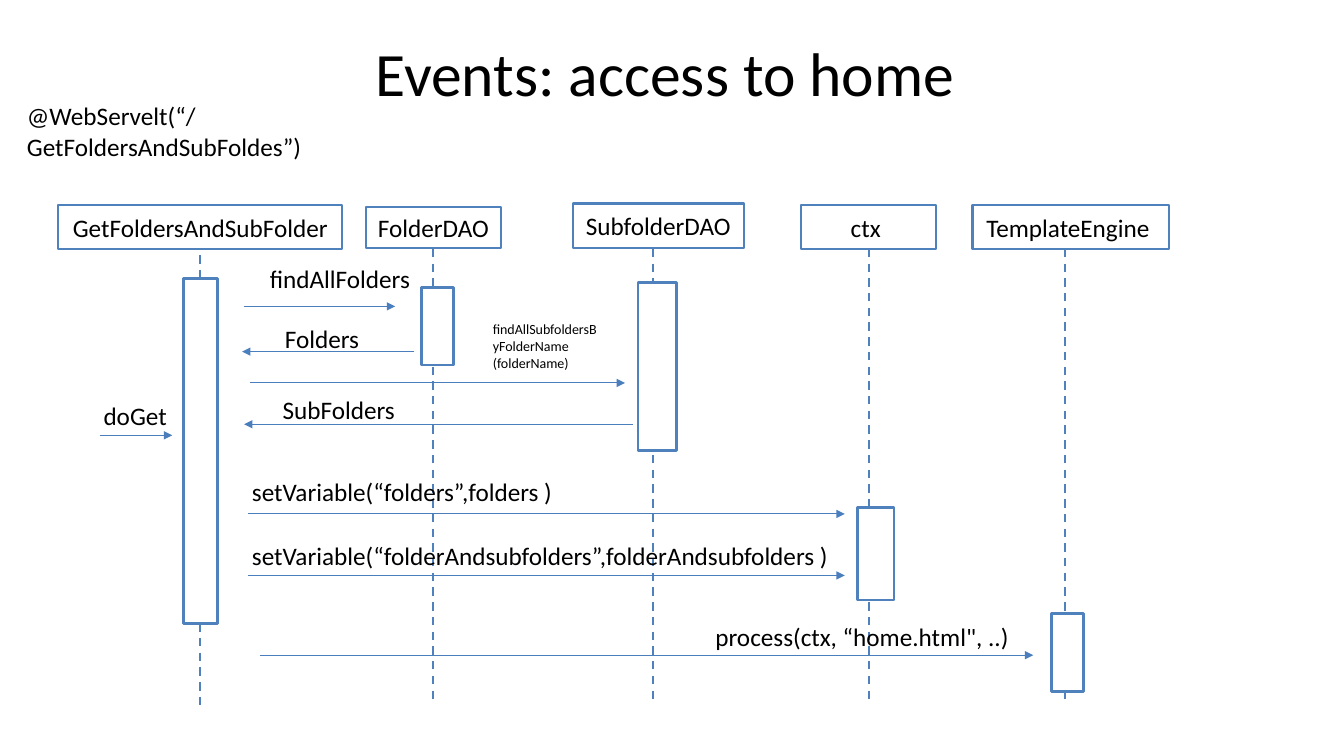
"""Build a sequence diagram slide for the access to the home page."""
from lxml.etree import SubElement
from pptx import Presentation
from pptx.dml.color import RGBColor
from pptx.enum.dml import MSO_LINE
from pptx.enum.shapes import MSO_CONNECTOR, MSO_SHAPE
from pptx.enum.text import MSO_ANCHOR, PP_ALIGN
from pptx.oxml.ns import qn
from pptx.util import Cm, Pt

COLORS = {"text": "000000", "fill": "FFFFFF", "box": "4F81BD", "arrow": "4B7EBC"}

# name, left, top, width, height
HEADS = [
    ("GetFoldersAndSubFolder", 1.47, 5.16, 7.16, 1.12),
    ("FolderDAO", 9.22, 5.21, 3.4, 1.04),
    ("SubfolderDAO", 14.43, 5.13, 4.32, 1.12),
    ("ctx ", 20.19, 5.16, 3.4, 1.12),
    ("TemplateEngine ", 24.51, 5.16, 4.95, 1.12),
]
# x, top, bottom
LIFELINES = [(5.05, 6.43, 17.78)] + [
    (x, 6.27, 17.63) for x in (10.92, 16.46, 21.89, 26.85)
]
# left, top, width, height
ACTIVATIONS = [
    (4.62, 7.01, 0.86, 8.71),
    (10.62, 7.24, 0.81, 1.96),
    (16.08, 7.11, 0.97, 4.24),
    (21.62, 12.78, 0.91, 2.34),
    (26.49, 15.47, 0.81, 1.96),
]
# start x, end x, y
ARROWS = [
    (2.51, 4.34, 10.97),
    (6.15, 9.96, 7.72),
    (10.44, 6.1, 8.86),
    (6.3, 15.75, 9.65),
    (15.95, 6.15, 10.69),
    (6.25, 21.29, 12.95),
    (6.25, 21.29, 14.5),
    (6.55, 26.04, 16.51),
]
# text, left, top, width, height, size, indent level
LABELS = [
    ("@WebServelt(“/GetFoldersAndSubFoldes”)", 0.43, 2.41, 7.85, 1.8, 18, 0),
    ("doGet", 2.36, 9.96, 2.33, 1.02, 18, 0),
    ("findAllFolders", 6.55, 6.5, 4.29, 1.02, 18, 0),
    ("Folders", 6.93, 8.03, 2.61, 1.02, 18, 0),
    ("findAllSubfoldersByFolderName (folderName)", 9.63, 7.95, 5.69, 1.55, 10, 2),
    (" SubFolders", 6.73, 9.8, 3.73, 1.02, 18, 0),
    ("setVariable(“folders”,folders )", 6.1, 11.89, 9.27, 1.02, 18, 0),
    ("setVariable(“folderAndsubfolders”,folderAndsubfolders )",
     6.1, 13.49, 15.34, 1.02, 18, 0),
    ("process(ctx, “home.html\", ..)", 17.78, 15.52, 9.6, 1.02, 18, 0),
]


def color(name):
    """Return the named colour."""
    return RGBColor.from_string(COLORS[name])


def write(tf, text, size, align=PP_ALIGN.LEFT, level=0):
    """Put one formatted paragraph into a text frame."""
    tf.text = text
    tf.word_wrap = True
    p = tf.paragraphs[0]
    p.alignment = align
    p.level = level
    font = p.runs[0].font
    font.name = "Calibri"
    font.size = Pt(size)
    font.color.rgb = color("text")


def add_title(s, text):
    """Fill and place the title placeholder."""
    title = s.shapes.title
    title.left, title.top, title.width, title.height = Cm(1.7), Cm(0.23), Cm(30.48), Cm(3.18)
    title.text_frame.vertical_anchor = MSO_ANCHOR.MIDDLE
    write(title.text_frame, text, 44, PP_ALIGN.CENTER)


def add_box(s, left, top, width, height, line_width):
    """Add a white outlined rectangle."""
    sp = s.shapes.add_shape(MSO_SHAPE.RECTANGLE, Cm(left), Cm(top), Cm(width), Cm(height))
    sp.shadow.inherit = False
    sp.fill.solid()
    sp.fill.fore_color.rgb = color("fill")
    sp.line.color.rgb = color("box")
    sp.line.width = Pt(line_width)
    return sp


def add_head(s, name, *place):
    """Add the named box at the top of a lifeline."""
    tf = add_box(s, *place, 1.5).text_frame
    tf.vertical_anchor = MSO_ANCHOR.MIDDLE
    write(tf, name, 18, PP_ALIGN.CENTER)
    tf.word_wrap = False


def add_line(s, x1, y1, x2, y2, line_color, width):
    """Add a straight connector without a shadow."""
    line = s.shapes.add_connector(MSO_CONNECTOR.STRAIGHT, Cm(x1), Cm(y1), Cm(x2), Cm(y2))
    line.line.color.rgb = color(line_color)
    line.line.width = Pt(width)
    SubElement(line._element.spPr, qn("a:effectLst"))
    return line


def add_lifeline(s, x, top, bottom):
    """Add a dashed vertical lifeline."""
    add_line(s, x, top, x, bottom, "box", 1.5).line.dash_style = MSO_LINE.DASH


def add_arrow(s, x1, x2, y):
    """Add a horizontal message arrow."""
    arrow = add_line(s, x1, y, x2, y, "arrow", 0.75)
    SubElement(arrow.line._get_or_add_ln(), qn("a:tailEnd"), type="triangle")


def add_label(s, text, left, top, width, height, size, level):
    """Add a text label."""
    box = s.shapes.add_textbox(Cm(left), Cm(top), Cm(width), Cm(height))
    write(box.text_frame, text, size, level=level)


def main():
    """Build and save the slide."""
    prs = Presentation()
    prs.slide_width, prs.slide_height = Cm(33.87), Cm(19.05)
    s = prs.slides.add_slide(prs.slide_layouts[5])
    add_title(s, "Events: access to home ")
    for head in HEADS:
        add_head(s, *head)
    for lifeline in LIFELINES:
        add_lifeline(s, *lifeline)
    for arrow in ARROWS:
        add_arrow(s, *arrow)
    for label in LABELS:
        add_label(s, *label)
    for activation in ACTIVATIONS:
        add_box(s, *activation, 2)
    prs.save("out.pptx")


if __name__ == "__main__":
    main()
